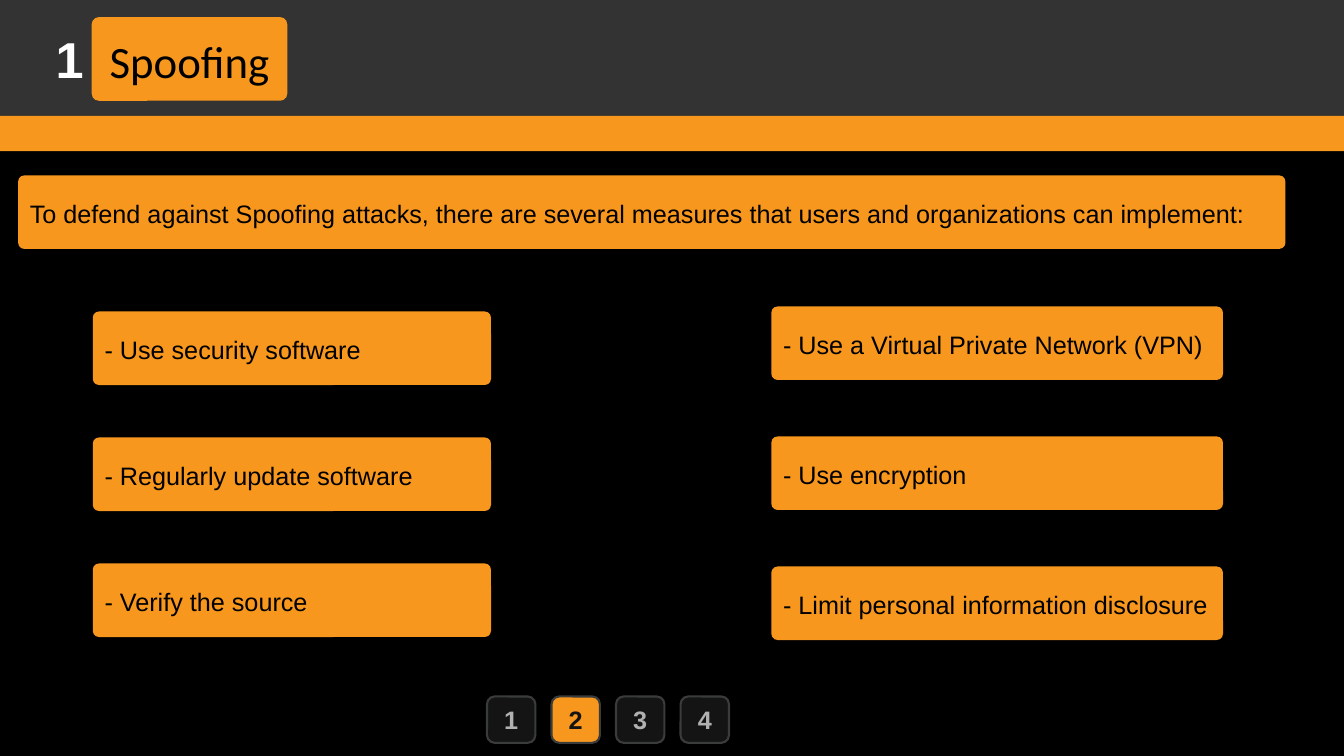
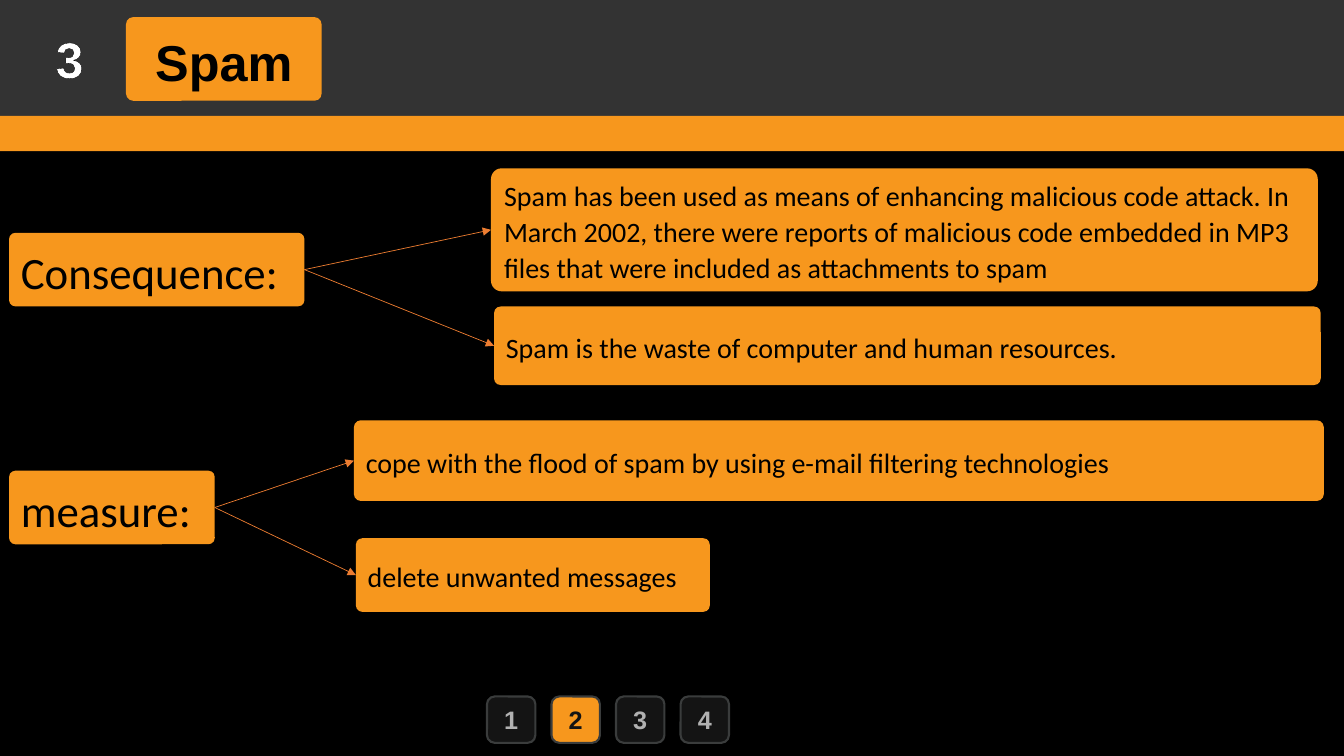
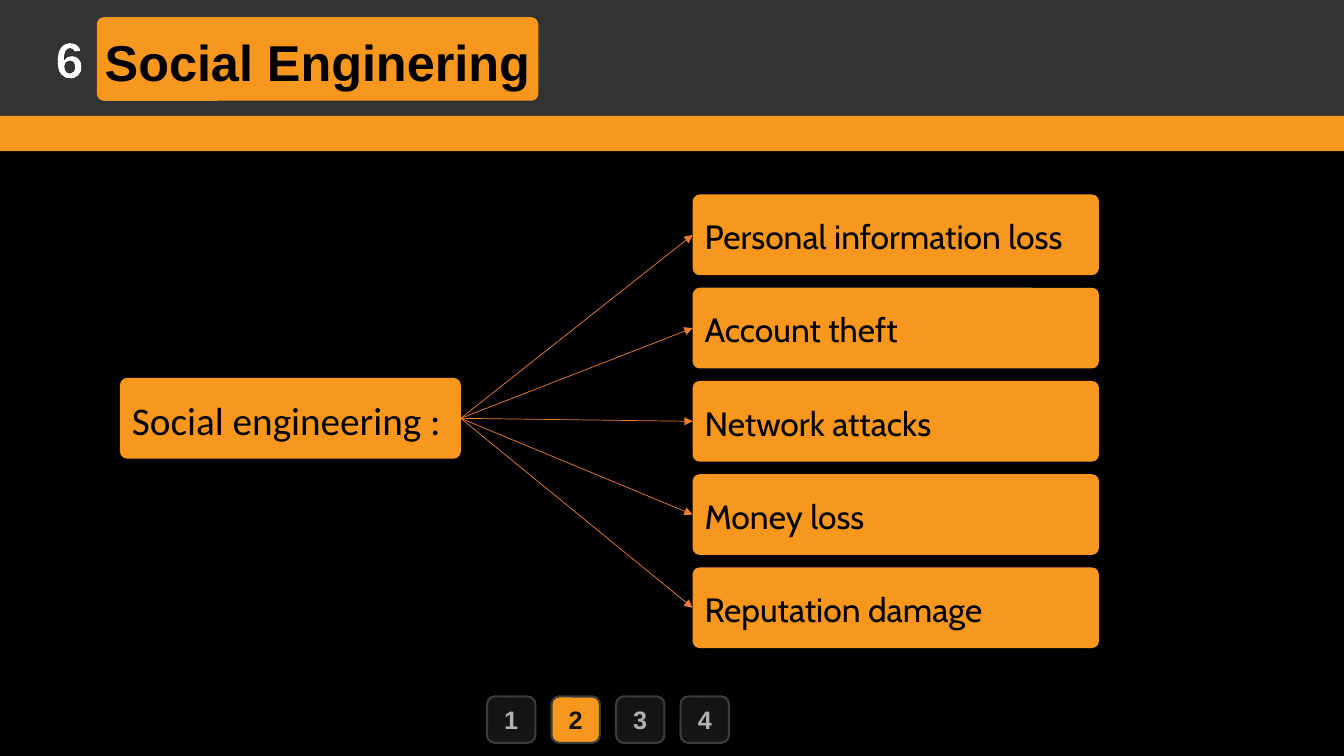
from lxml import etree
from pptx import Presentation
from pptx.dml.color import RGBColor
from pptx.enum.shapes import MSO_CONNECTOR, MSO_SHAPE
from pptx.enum.text import MSO_ANCHOR, MSO_AUTO_SIZE, PP_ALIGN
from pptx.oxml.ns import qn
from pptx.util import Inches, Pt

RECT, ROUND = MSO_SHAPE.RECTANGLE, MSO_SHAPE.ROUNDED_RECTANGLE
STRAIGHT = MSO_CONNECTOR.STRAIGHT
MIDDLE, NO_FIT = MSO_ANCHOR.MIDDLE, MSO_AUTO_SIZE.NONE
LEFT, CENTER = PP_ALIGN.LEFT, PP_ALIGN.CENTER
RIGHT_SIDE, LEFT_SIDE = 3, 1
TITLE_ONLY = 5
WIDTH, HEIGHT = 13.33, 7.5

BLACK, WHITE, ORANGE = "000000", "FFFFFF", "F7971D"
HEADER, ARROW = "333333", "ED7D31"
PAGE_FILL, PAGE_EDGE, PAGE_TEXT = "141414", "3A3C3C", "B1B1B1"
CARD_RADIUS = 0.086

HEADING = {"name": "Arial", "size": Pt(36), "bold": True}
LIGHT_HEADING = {"name": "Calibri", "size": Pt(32), "bold": False}
PAGE = {"name": "Arial", "size": Pt(18), "bold": True}
MEASURE = {"name": "Arial", "size": Pt(18)}
TOPIC = {"name": "Calibri", "size": Pt(32)}
DETAIL = {"name": "Calibri", "size": Pt(20)}
RISK_TOPIC = {"name": "Calibri", "size": Pt(28)}
RISK = {"name": "Cabin", "size": Pt(24)}
CARD_SPACING = {"alignment": LEFT, "line_spacing": 1.07, "space_after": Pt(8)}


def rgb(value):
    """Turn a hex string into a colour."""
    return RGBColor.from_string(value)


def apply(target, values):
    """Set every attribute named in a dict."""
    for name, value in values.items():
        setattr(target, name, value)


def write(tf, text, font, color, spacing):
    """Fill a text frame with one formatted paragraph and return its run."""
    apply(tf, {"word_wrap": True, "auto_size": NO_FIT, "vertical_anchor": MIDDLE})
    p = tf.paragraphs[0]
    apply(p, spacing)
    r = p.add_run()
    r.text = text
    apply(r.font, font)
    r.font.color.rgb = rgb(color)
    return r


def box(s, shape_type, at, fill, edge=None):
    """Add a filled shape without a shadow."""
    sp = s.shapes.add_shape(shape_type, *map(Inches, at))
    sp.shadow.inherit = False
    sp.fill.solid()
    sp.fill.fore_color.rgb = rgb(fill)
    if edge:
        sp.line.color.rgb = rgb(edge)
        sp.line.width = Pt(1.5)
    else:
        sp.line.fill.background()
    return sp


def card(s, at, text="", font=None):
    """Add an orange rounded card, with left-aligned text if given."""
    sp = box(s, ROUND, at, ORANGE)
    sp.adjustments[0] = CARD_RADIUS
    if text:
        write(sp.text_frame, text, font, BLACK, CARD_SPACING)
    return sp


def arrow(s, source, target):
    """Join the right side of one card to the left side of another."""
    line = s.shapes.add_connector(STRAIGHT, 0, 0, 0, 0)
    line.begin_connect(source, RIGHT_SIDE)
    line.end_connect(target, LEFT_SIDE)
    line.line.color.rgb = rgb(ARROW)
    line.line.width = Pt(0.5)
    sp_pr = line._element.spPr
    etree.SubElement(sp_pr.find(qn("a:ln")), qn("a:tailEnd"), type="triangle")
    etree.SubElement(sp_pr, qn("a:effectLst"))


def branch(s, source, targets):
    """Draw an arrow from one card to each of several."""
    for target in targets:
        arrow(s, source, target)


def outline(r):
    """Give the letters of a run a thin black outline."""
    ln = etree.Element(qn("a:ln"), w=str(Pt(0.75)))
    fill = etree.SubElement(ln, qn("a:solidFill"))
    etree.SubElement(fill, qn("a:srgbClr"), val=BLACK)
    r._r.get_or_add_rPr().insert(0, ln)


def set_title(s, text, left, width, font):
    """Put the title placeholder on an orange card in the header."""
    card(s, (left, 0.17, width, 0.83))
    title = s.shapes.title
    s.shapes._spTree.append(title._element)
    apply(title, {"left": Inches(left), "top": Inches(0.25),
                  "width": Inches(width), "height": Inches(0.71)})
    tf = title.text_frame
    apply(tf, {"margin_left": 0, "margin_right": 0})
    write(tf, text, font, BLACK, {"alignment": CENTER})


def add_pager(s, current=2, count=4):
    """Add the row of section numbers and mark the current one."""
    for i in range(count):
        active = i + 1 == current
        sp = box(s, ROUND, (4.83 + 0.64 * i, 6.91, 0.48, 0.46),
                 ORANGE if active else PAGE_FILL, PAGE_EDGE)
        write(sp.text_frame, str(i + 1), PAGE,
              PAGE_FILL if active else PAGE_TEXT, {"alignment": CENTER})


def new_slide(prs, number, title, left, width, font=HEADING, outlined=True):
    """Add a slide with the shared header, title and pager."""
    s = prs.slides.add_slide(prs.slide_layouts[TITLE_ONLY])
    box(s, RECT, (0, 0, WIDTH, 1.18), HEADER)
    box(s, RECT, (0, 1.15, WIDTH, 0.35), ORANGE)
    label = s.shapes.add_textbox(*map(Inches, (-0.16, 0.22, 1.7, 0.71)))
    r = write(label.text_frame, number, HEADING, WHITE, {"alignment": CENTER})
    if outlined:
        outline(r)
    set_title(s, title, left, width, font)
    add_pager(s)
    return s


def spoofing_slide(prs):
    """Build the slide of measures against spoofing."""
    s = new_slide(prs, "1", "Spoofing", 0.91, 1.94, LIGHT_HEADING, False)
    card(s, (0.18, 1.74, 12.57, 0.73),
         "To defend against Spoofing attacks, there are several measures "
         "that users and organizations can implement:", MEASURE)
    columns = [
        (0.92, 3.09, 3.95, 1.25, ["- Use security software",
                                  "- Regularly update software",
                                  "- Verify the source"]),
        (7.65, 3.04, 4.48, 1.29, ["- Use a Virtual Private Network (VPN)",
                                  "- Use encryption",
                                  "- Limit personal information disclosure"]),
    ]
    for left, top, width, step, measures in columns:
        for i, text in enumerate(measures):
            card(s, (left, top + step * i, width, 0.73), text, MEASURE)


def spam_slide(prs):
    """Build the slide of consequences of spam and measures against it."""
    s = new_slide(prs, "3", "Spam", 1.25, 1.94)
    topics = [
        ("Consequence:", (0.09, 2.31, 2.93, 0.73), [
            ("Spam has been used as means of enhancing malicious code attack. "
             "In March 2002, there were reports of malicious code embedded in "
             "MP3 files that were included as attachments to spam",
             (4.87, 1.67, 8.2, 1.22)),
            ("Spam is the waste of computer and human resources.",
             (4.9, 3.04, 8.2, 0.78))]),
        ("measure:", (0.09, 4.67, 2.04, 0.73), [
            ("cope with the flood of spam by using e-mail filtering technologies",
             (3.51, 4.17, 9.62, 0.8)),
            ("delete unwanted messages", (3.53, 5.34, 3.51, 0.73))]),
    ]
    for topic, at, details in topics:
        source = card(s, at, topic, TOPIC)
        branch(s, source, [card(s, place, text, DETAIL) for text, place in details])


def social_engineering_slide(prs):
    """Build the slide of risks of social engineering."""
    s = new_slide(prs, "6", "Social Enginering", 0.96, 4.38)
    source = card(s, (1.19, 3.75, 3.38, 0.8), "Social engineering :", RISK_TOPIC)
    risks = ["Personal information loss", "Account theft", "Network attacks",
             "Money loss", "Reputation damage"]
    first, last = 1.93, 5.63
    step = (last - first) / (len(risks) - 1)
    branch(s, source, [card(s, (6.87, first + step * i, 4.03, 0.8), text, RISK)
                       for i, text in enumerate(risks)])


def main():
    """Build and save the presentation."""
    prs = Presentation()
    apply(prs, {"slide_width": Inches(WIDTH), "slide_height": Inches(HEIGHT)})
    background = prs.slide_master.background.fill
    background.solid()
    background.fore_color.rgb = rgb(BLACK)
    spoofing_slide(prs)
    spam_slide(prs)
    social_engineering_slide(prs)
    prs.save("out.pptx")


if __name__ == "__main__":
    main()
